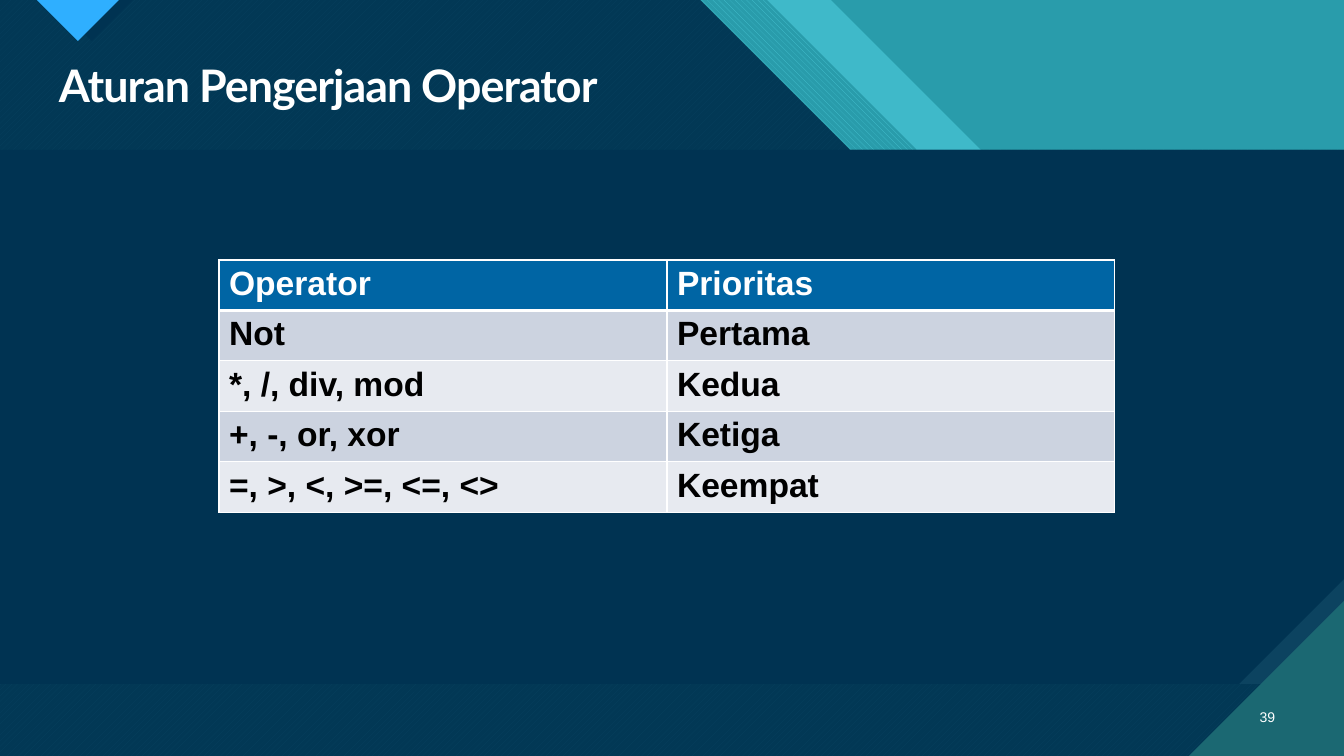
from typing import NamedTuple

from lxml.etree import SubElement
from pptx import Presentation
from pptx.dml.color import RGBColor
from pptx.enum.dml import MSO_PATTERN as Pattern
from pptx.enum.text import MSO_ANCHOR as Anchor, PP_ALIGN as Align
from pptx.oxml.ns import qn
from pptx.util import Pt

PX = 914400 / 100.8
NAVY, TEAL, AQUA, PINE, WHITE = "003352", "299CAB", "47C3D3", "1B6872", "FFFFFF"
PRIORITIES = [
    ("Operator", "Prioritas"),
    ("Not", "Pertama"),
    ("*, /, div, mod", "Kedua"),
    ("+, -, or, xor", "Ketiga"),
    ("=, >, <, >=, <=, <>", "Keempat"),
]


class Box(NamedTuple):
    """An area of the slide in px."""
    left: int
    top: int
    width: int
    height: int


def px(length):
    """Turn px into EMU."""
    return round(length * PX)


def color(code):
    """Turn a hex string into a colour."""
    return RGBColor.from_string(code)


def paint(fill, code):
    """Fill with one solid colour."""
    fill.solid()
    fill.fore_color.rgb = color(code)


def hatch(fill, pattern, line_code, ground_code):
    """Fill with a two-colour pattern."""
    fill.patterned()
    fill.pattern = pattern
    fill.fore_color.rgb = color(line_code)
    fill.back_color.rgb = color(ground_code)


def fade(shape, percent):
    """Set the opacity of a solid fill."""
    tint = next(shape.fill._xPr.iter(qn("a:srgbClr")))
    SubElement(tint, qn("a:alpha"), val=str(percent * 1000))


def polygon(slide, box, points, code=None):
    """Draw a closed outline with points relative to the box."""
    builder = slide.shapes.build_freeform(*points[0], scale=PX)
    builder.add_line_segments(points[1:], close=True)
    outline = builder.convert_to_shape(px(box.left), px(box.top))
    outline.shadow.inherit = False
    outline.line.fill.background()
    if code:
        paint(outline.fill, code)
    return outline


def write(frame, text, size, code, face="Arial", bold=False, align=Align.LEFT):
    """Put one formatted paragraph into a text frame and return its run."""
    paragraph = frame.paragraphs[0]
    paragraph.alignment = align
    run = paragraph.add_run()
    run.text = text
    for name, value in {"size": Pt(size), "name": face, "bold": bold}.items():
        setattr(run.font, name, value)
    run.font.color.rgb = color(code)
    return run


def text_box(slide, box, text, anchor=Anchor.TOP, **style):
    """Add a wrapping text box and return its run."""
    frame = slide.shapes.add_textbox(*map(px, box)).text_frame
    for name, value in {"word_wrap": True, "vertical_anchor": anchor}.items():
        setattr(frame, name, value)
    return write(frame, text, **style)


def draw_header(slide, box):
    """Draw the slanted bands and the navy ground beneath the content."""
    rise, start = 150, 700

    def band(left, right):
        return [(left, 0), (right, 0), (right + rise, rise), (left + rise, rise)]

    polygon(slide, box, band(start + 67, start + 131), "3FB9C9")
    stripes = polygon(slide, box, band(start, start + 67))
    hatch(stripes.fill, Pattern.WIDE_DOWNWARD_DIAGONAL, AQUA, TEAL)
    ground = [(0, 0), (start, 0), (start + rise, rise), (box.width, rise),
              (box.width, box.height), (0, box.height)]
    weave = polygon(slide, box, ground)
    hatch(weave.fill, Pattern.WIDE_UPWARD_DIAGONAL, AQUA, PINE)
    fade(polygon(slide, box, ground, NAVY), 90)


def draw_marker(slide, box):
    """Draw the blue pointer and its shade at the top edge."""
    for shift, code in ((14, NAVY), (0, "2FAFFF")):
        left, right = shift, shift + box.width
        tip = ((left + right) // 2, box.height)
        polygon(slide, box, [(left, 0), (right, 0), tip], code)


def draw_panel(slide, box):
    """Draw the content panel with its lower right corner cut."""
    cut = 105
    right, bottom = box.width, box.height
    polygon(slide, box, [(right, bottom - cut), (right, bottom), (right - cut, bottom)],
            "0C4360")
    polygon(slide, box, [(0, 0), (right, 0), (right, bottom - cut),
                         (right - cut, bottom), (0, bottom)], NAVY)


def draw_corner(slide, box):
    """Draw the green corner triangle."""
    polygon(slide, box, [(0, box.height), (box.width, box.height), (box.width, 0)], PINE)


def draw_border(cell, side, width):
    """Add one white border to a table cell."""
    edge = SubElement(cell._tc.get_or_add_tcPr(), qn(f"a:{side}"), w=str(Pt(width)))
    SubElement(SubElement(edge, qn("a:solidFill")), qn("a:srgbClr"), val=WHITE)


def draw_table(slide, box):
    """Draw the operator priority table."""
    rows, columns = len(PRIORITIES), len(PRIORITIES[0])
    table = slide.shapes.add_table(rows, columns, *map(px, box)).table
    for column in table.columns:
        column.width = px(box.width // columns)
    for index, entries in enumerate(PRIORITIES):
        table.rows[index].height = px(box.height // rows)
        ground = ("CCD3E0" if index % 2 else "E7EAF0") if index else "0065A4"
        widths = {"lnL": 1, "lnR": 1, "lnT": 3 if index == 1 else 1,
                  "lnB": 1 if index else 3}
        for cell, entry in zip(table.rows[index].cells, entries):
            for side, width in widths.items():
                draw_border(cell, side, width)
            paint(cell.fill, ground)
            write(cell.text_frame, entry, 24, "000000" if index else WHITE, bold=True)


def draw_title(slide, box):
    """Write the slide title."""
    title = text_box(slide, box, "Aturan Pengerjaan Operator",
                     size=32, code=WHITE, face="Lato", bold=True)
    title.font._element.set("spc", "-70")
    title._r.getparent().get_or_add_pPr().line_spacing = 0.9


def draw_page_number(slide, box):
    """Write the page number."""
    text_box(slide, box, "39", Anchor.MIDDLE, size=10, code=WHITE, align=Align.RIGHT)


def main():
    """Build and save the slide."""
    page = Box(0, 0, 1344, 756)
    deck = Presentation()
    deck.slide_width, deck.slide_height = px(page.width), px(page.height)
    slide = deck.slides.add_slide(deck.slide_layouts[6])
    paint(slide.background.fill, TEAL)
    draw_header(slide, page)
    draw_marker(slide, Box(37, 0, 82, 41))
    draw_panel(slide, Box(0, 150, 1344, 534))
    draw_corner(slide, Box(1189, 601, 155, 155))
    draw_title(slide, Box(49, 59, 1236, 59))
    draw_page_number(slide, Box(1241, 697, 44, 40))
    draw_table(slide, Box(219, 260, 896, 235))
    deck.save("out.pptx")


if __name__ == "__main__":
    main()
